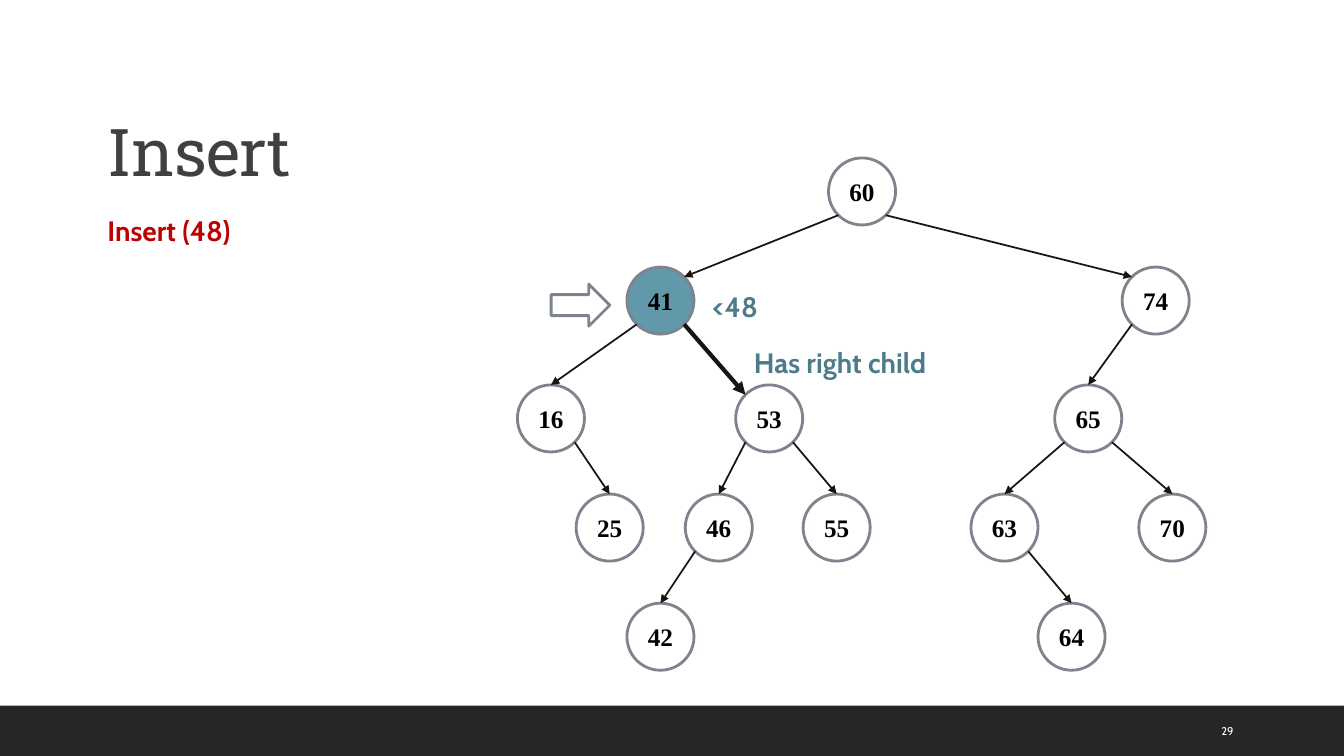
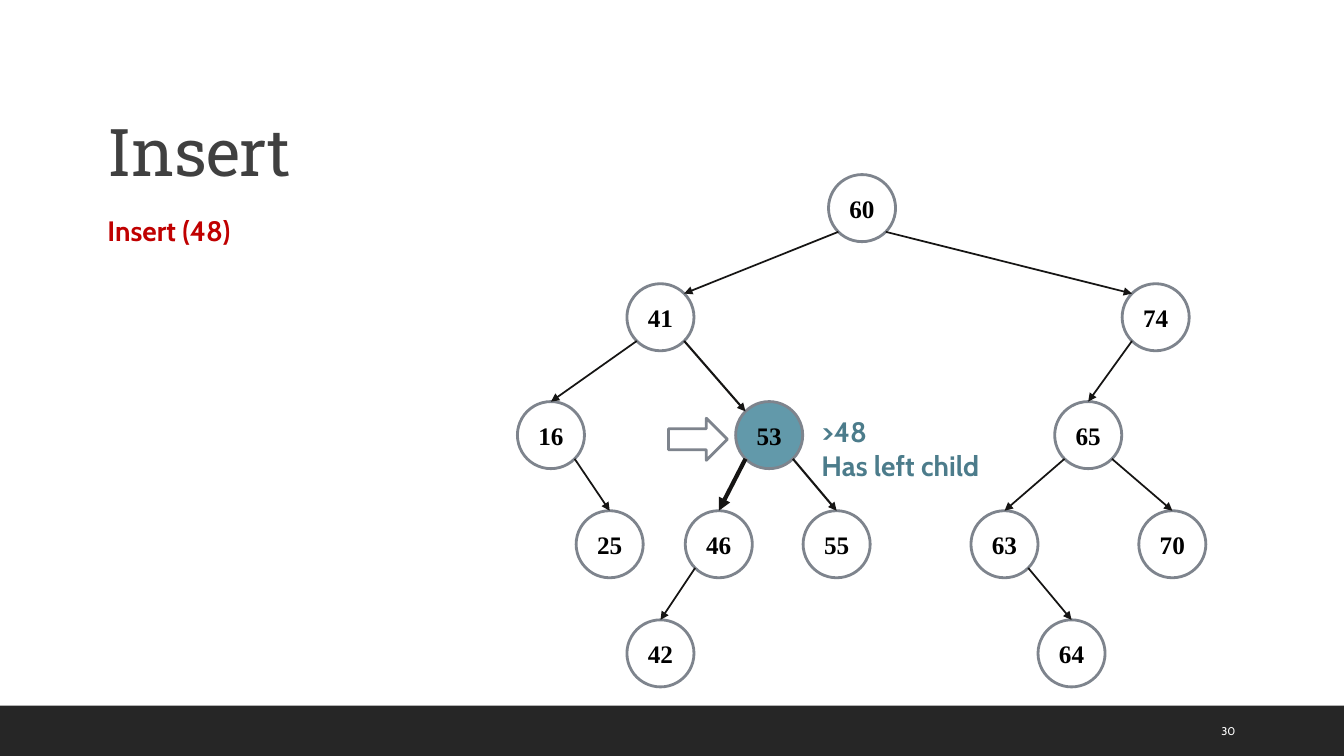
from lxml.etree import SubElement
from pptx import Presentation
from pptx.dml.color import RGBColor
from pptx.enum.shapes import MSO_CONNECTOR, MSO_SHAPE
from pptx.enum.text import MSO_ANCHOR as ANCHOR, PP_ALIGN as ALIGN
from pptx.oxml.ns import qn
from pptx.util import Cm, Pt

# Content: all lengths in cm, sizes in points
TITLE, TASK = "Insert", "Insert (48)"

WIDTH, HEIGHT = 33.87, 19.05
BAND_HEIGHT = 1.27
MARGIN = 2.46
NODE = 1.69
DIAGONAL = NODE * 0.5 ** 0.5 / 2  # centre to a 45° point of the circle, per axis

WHITE, BLACK, BAND = "FFFFFF", "000000", "262626"
TITLE_GREY, OUTLINE, EDGE = "404040", "7E848D", "161514"
RED, TEAL, TEAL_TEXT = "C00000", "6299AA", "4C7C8B"
BODY, HEADING, NUMERALS = "Cabin", "Roboto Slab", "Times New Roman"

LEVEL_TOPS = [0, 2.75, 5.72, 8.47, 11.22]
LEVELS = [  # key: left edge
    {60: 20.88},
    {41: 15.8, 74: 28.28},
    {16: 13.04, 53: 18.54, 65: 26.58},
    {25: 14.52, 46: 17.27, 55: 20.24, 63: 24.47, 70: 28.7},
    {42: 15.8, 64: 26.16},
]
CHILDREN = {60: [41, 74], 41: [16, 53], 74: [65], 16: [25], 53: [46, 55],
            65: [63, 70], 46: [42], 63: [64]}
ENTERED_AT_CORNER = {41, 74, 53}
EDGE_WIDTH = 1.25

STEPS = [
    {"number": "29", "tree_top": 3.98, "current": 41, "pointer": (13.89, 7.16),
     "widths": {(41, 53): 3},
     "notes": [("<48", 17.7, 7.16, 2.1), ("Has right child", 18.75, 8.58, 6.15)]},
    {"number": "30", "tree_top": 4.4, "current": 53, "pointer": (16.85, 10.54),
     "widths": {(41, 53): 1.5, (53, 55): 1.5, (53, 46): 3},
     "notes": [(">48", 20.45, 10.31, 2.1), ("Has left child", 20.45, 11.18, 6.15)]},
]


def rgb(color):
    return RGBColor.from_string(color)


def write(shape, text, size, font, color, bold=False):
    p = shape.text_frame.paragraphs[0]
    p.text = text
    f = p.runs[0].font
    f.size, f.name, f.bold = Pt(size), font, bold
    f.color.rgb = rgb(color)
    return p


def add_text(s, box, text, size, font, color, bold=False, anchor=ANCHOR.TOP):
    sp = s.shapes.add_textbox(*map(Cm, box))
    sp.text_frame.word_wrap = True
    sp.text_frame.vertical_anchor = anchor
    return write(sp, text, size, font, color, bold)


def add_shape(s, kind, box, fill, outline=None):
    sp = s.shapes.add_shape(kind, *map(Cm, box))
    sp.shadow.inherit = False
    sp.fill.solid()
    sp.fill.fore_color.rgb = rgb(fill)
    if outline:
        sp.line.color.rgb = rgb(outline)
        sp.line.width = Pt(2)
    else:
        sp.line.fill.background()
    return sp


def add_arrow(s, start, end, width):
    line = s.shapes.add_connector(MSO_CONNECTOR.STRAIGHT, *map(Cm, start + end))
    line.line.color.rgb = rgb(EDGE)
    line.line.width = Pt(width)
    SubElement(line.line._get_or_add_ln(), qn("a:tailEnd"), type="triangle")
    SubElement(line._element.spPr, qn("a:effectLst"))


def add_frame(s, number):
    """Draw the band, title, task and slide number that every slide shares."""
    band_top = HEIGHT - BAND_HEIGHT
    add_shape(s, MSO_SHAPE.RECTANGLE, (0, band_top, WIDTH, BAND_HEIGHT), BAND)
    p = add_text(s, (MARGIN, 0.89, 27.94, 4.04), TITLE, 47, HEADING, TITLE_GREY,
                 anchor=ANCHOR.BOTTOM)
    p.line_spacing = 0.9
    p.runs[0].font._element.set("spc", "-50")
    add_text(s, (MARGIN, 5.26, 4.24, 1.12), TASK, 20, BODY, RED, bold=True)
    add_text(s, (30.53, band_top + 0.13, 2.16, 1.02), number, 8, BODY, WHITE,
             anchor=ANCHOR.MIDDLE)


def add_node(s, key, center, fill):
    x, y = center
    sp = add_shape(s, MSO_SHAPE.OVAL, (x - NODE / 2, y - NODE / 2, NODE, NODE),
                   fill, OUTLINE)
    tf = sp.text_frame
    tf.margin_left = tf.margin_right = tf.margin_top = tf.margin_bottom = 0
    tf.word_wrap = False
    tf.vertical_anchor = ANCHOR.MIDDLE
    write(sp, str(key), 18, NUMERALS, BLACK, bold=True).alignment = ALIGN.CENTER


def add_tree(s, top, current, widths):
    centers = {key: (left + NODE / 2, top + level_top + NODE / 2)
               for level_top, level in zip(LEVEL_TOPS, LEVELS)
               for key, left in level.items()}
    for key, center in centers.items():
        add_node(s, key, center, TEAL if key == current else WHITE)
    for parent, children in CHILDREN.items():
        px, py = centers[parent]
        for child in children:
            cx, cy = centers[child]
            dx = DIAGONAL if cx > px else -DIAGONAL
            if child in ENTERED_AT_CORNER:
                end = (cx - dx, cy - DIAGONAL)
            else:
                end = (cx, cy - NODE / 2)
            add_arrow(s, (px + dx, py + DIAGONAL), end,
                      widths.get((parent, child), EDGE_WIDTH))


def main():
    prs = Presentation()
    prs.slide_width, prs.slide_height = Cm(WIDTH), Cm(HEIGHT)
    for step in STEPS:
        s = prs.slides.add_slide(prs.slide_layouts[6])
        add_frame(s, step["number"])
        add_tree(s, step["tree_top"], step["current"], step["widths"])
        add_shape(s, MSO_SHAPE.RIGHT_ARROW, (*step["pointer"], 1.48, 1.06),
                  WHITE, OUTLINE)
        for text, left, top, width in step["notes"]:
            add_text(s, (left, top, width, 1.12), text, 20, BODY, TEAL_TEXT, bold=True)
    prs.save("out.pptx")


if __name__ == "__main__":
    main()
